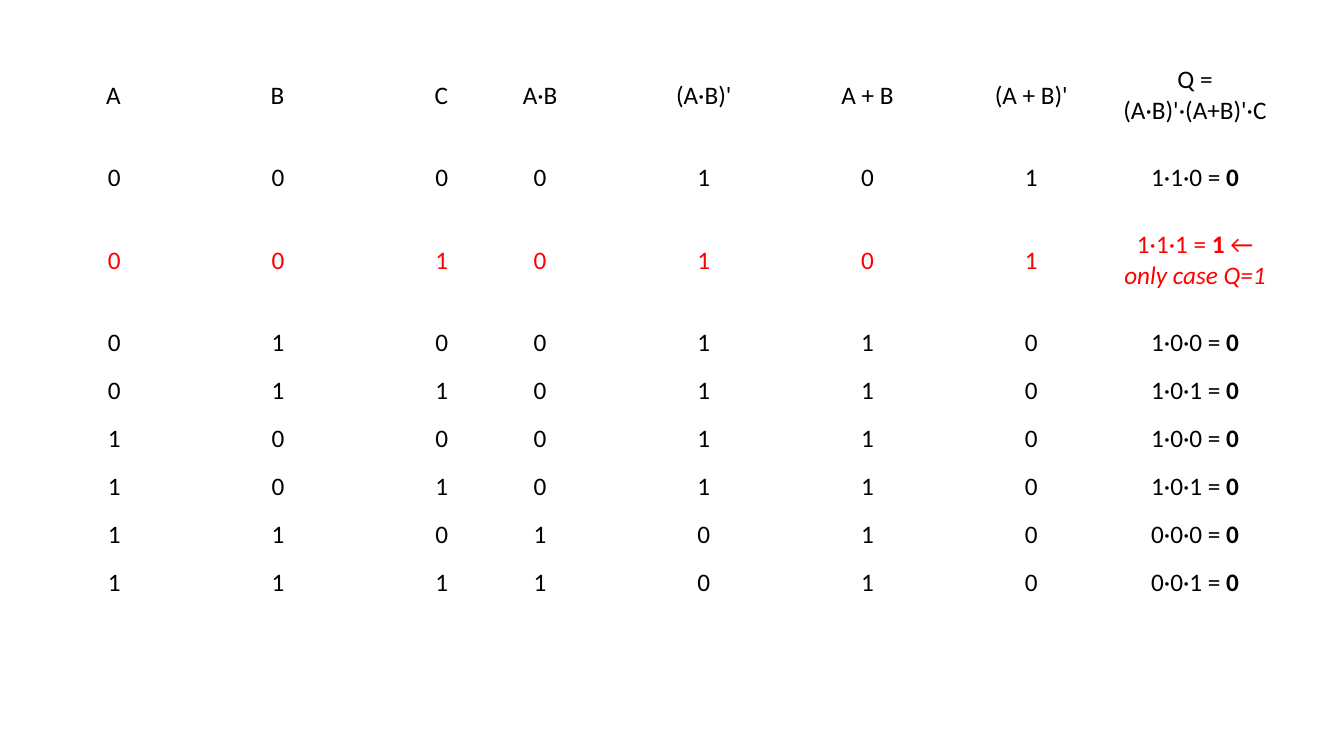
from itertools import product

from pptx import Presentation
from pptx.dml.color import RGBColor
from pptx.enum.text import MSO_ANCHOR, PP_ALIGN
from pptx.util import Emu, Pt

EMU_PER_PX = 914400 / 100.8
BLACK = RGBColor(0x00, 0x00, 0x00)
RED = RGBColor(0xFF, 0x00, 0x00)
MIDDLE = MSO_ANCHOR.MIDDLE
CENTER = PP_ALIGN.CENTER
RIGHT = PP_ALIGN.RIGHT

FONT = {"name": "Calibri", "size": Pt(18)}
BOLD = {"bold": True}
ITALIC = {"italic": True}
HEADERS = ["A", "B", "C", "A·B", "(A·B)'", "A + B", "(A + B)'", "Q = (A·B)'·(A+B)'·C"]
INPUT_COUNT = 3
TALL_ROWS = (0, 2)
TALL_HEIGHT = 117
ROW_HEIGHT = 48


def px(length):
    return Emu(round(length * EMU_PER_PX))


def truth_row(a, b, c):
    conjunction = a & b
    disjunction = a | b
    nand = 1 - conjunction
    nor = 1 - disjunction
    q = nand & nor & c
    result = [(f"{nand}·{nor}·{c} = ", {}), (str(q), BOLD)]
    if q:
        result += [(" ← ", {}), ("only case Q=1", ITALIC)]
    values = [a, b, c, conjunction, nand, disjunction, nor]
    return [[(str(value), {})] for value in values] + [result], RED if q else BLACK


def fill_cell(cell, runs, alignment, color):
    cell.fill.background()
    cell.vertical_anchor = MIDDLE
    paragraph = cell.text_frame.paragraphs[0]
    paragraph.alignment = alignment
    for text, emphasis in runs:
        run = paragraph.add_run()
        run.text = text
        run.font.color.rgb = color
        for attribute, value in {**FONT, **emphasis}.items():
            setattr(run.font, attribute, value)


def add_truth_table(slide, left, top, width, height):
    rows = [([[(header, {})] for header in HEADERS], BLACK)]
    rows += [truth_row(*inputs) for inputs in product((0, 1), repeat=INPUT_COUNT)]
    table = slide.shapes.add_table(
        len(rows), len(HEADERS), px(left), px(top), px(width), px(height)
    ).table
    table.first_row = False
    table.horz_banding = False
    for row_index, (cells, color) in enumerate(rows):
        table.rows[row_index].height = px(TALL_HEIGHT if row_index in TALL_ROWS else ROW_HEIGHT)
        for column_index, runs in enumerate(cells):
            alignment = RIGHT if column_index < INPUT_COUNT else CENTER
            fill_cell(table.cell(row_index, column_index), runs, alignment, color)


def main():
    presentation = Presentation()
    presentation.slide_width = px(1344)
    presentation.slide_height = px(756)
    slide = presentation.slides.add_slide(presentation.slide_layouts[6])
    add_truth_table(slide, -33, 37, 1310, 570)
    presentation.save("out.pptx")


if __name__ == "__main__":
    main()
